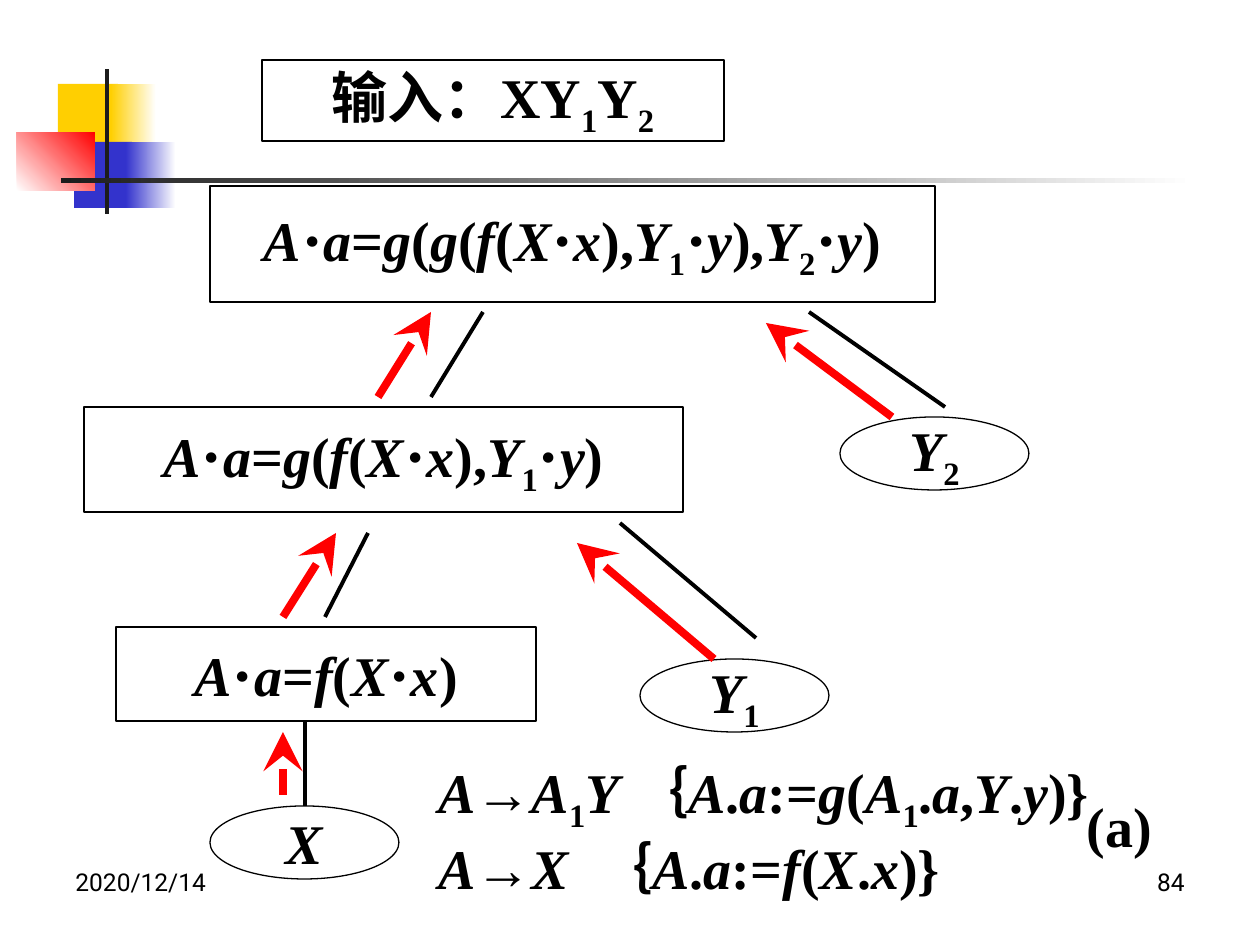
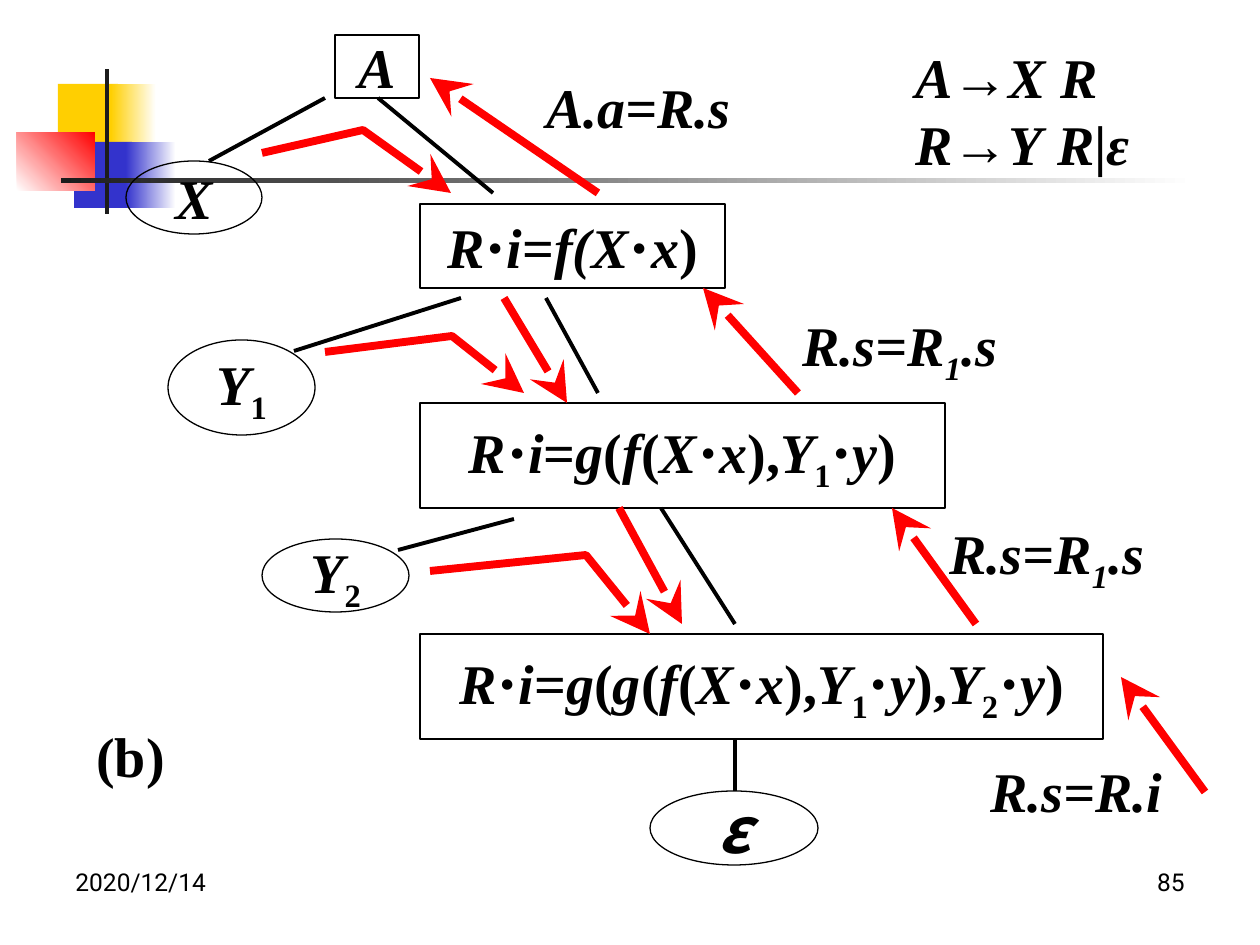
from itertools import groupby

from lxml.etree import SubElement
from pptx import Presentation
from pptx.dml.color import RGBColor
from pptx.enum.shapes import MSO_CONNECTOR, MSO_SHAPE
from pptx.enum.text import MSO_ANCHOR, MSO_AUTO_SIZE, PP_ALIGN
from pptx.oxml.ns import qn
from pptx.util import Pt

SCALE = 914400 / 126
BLACK, RED, WHITE = "000000", "FF0000", "FFFFFF"
YELLOW, BLUE, CHARCOAL = "FFCF01", "3333CC", "1C1C1C"
SERIF, SANS, CJK = "Times New Roman", "Roboto", "Noto Sans CJK SC"
LEFT, CENTER, RIGHT = PP_ALIGN.LEFT, PP_ALIGN.CENTER, PP_ALIGN.RIGHT
DATE = "2020/12/14"


def px(*lengths):
    """Turn px lengths into EMU."""
    return [round(n * SCALE) for n in lengths]


def rgb(color):
    """Turn a hex string into a colour."""
    return RGBColor.from_string(color)


def parse(text, italic):
    """Yield (char, italic, subscript); _ lowers and ~ slants the next character."""
    mark = ""
    for ch in text:
        if ch in "_~":
            mark = ch
            continue
        slant = ch.isalpha() if italic is None else italic
        yield ch, slant or mark == "~", mark == "_"
        mark = ""


def write(p, text, italic=None, align=LEFT, size=32, font=SERIF, bold=True, tab=None):
    """Fill a paragraph with a formula; letters are italic unless told otherwise."""
    p.alignment = align
    if tab:
        tabs = SubElement(p._p.get_or_add_pPr(), qn("a:tabLst"))
        SubElement(tabs, qn("a:tab"), pos=str(px(tab)[0]), algn="l")
    p.font.name, p.font.size, p.font.bold = font, Pt(size), bold
    p.font.color.rgb = rgb(BLACK)
    for (slant, sub), chars in groupby(parse(text, italic), key=lambda c: c[1:]):
        r = p.add_run()
        r.text = "".join(c[0] for c in chars)
        r.font.italic = slant
        if sub:
            r._r.get_or_add_rPr().set("baseline", "-25000")


def outline(sp, color, width):
    """Give a shape or connector its line."""
    sp.line.color.rgb = rgb(color)
    sp.line.width = Pt(width)


def node(s, kind, box, text, **style):
    """Add an outlined shape with a centred formula."""
    sp = s.shapes.add_shape(kind, *px(*box))
    sp.shadow.inherit = False
    sp.fill.background()
    outline(sp, BLACK, 0.75)
    tf = sp.text_frame
    tf.word_wrap, tf.vertical_anchor = False, MSO_ANCHOR.MIDDLE
    write(tf.paragraphs[0], text, align=CENTER, **style)


def label(s, box, lines, wrap=False, anchor=MSO_ANCHOR.TOP, tabs=(None, None), **style):
    """Add a text box with one paragraph per line."""
    tf = s.shapes.add_textbox(*px(*box)).text_frame
    tf.word_wrap, tf.vertical_anchor = wrap, anchor
    tf.auto_size = MSO_AUTO_SIZE.SHAPE_TO_FIT_TEXT
    for i, (text, tab) in enumerate(zip(lines, tabs)):
        p = tf.add_paragraph() if i else tf.paragraphs[0]
        write(p, text, tab=tab, **style)


def caption(s, box, text):
    """Add the upright letter that names the figure."""
    label(s, box, [text], anchor=MSO_ANCHOR.MIDDLE, align=CENTER, italic=False)


def arrowhead(sp):
    """Put a large stealth head at the end of a line."""
    SubElement(sp.line._get_or_add_ln(), qn("a:tailEnd"), type="stealth", w="lg", len="lg")


def line(s, ends, color=BLACK, width=2.25):
    """Add a straight line from (x1, y1) to (x2, y2)."""
    c = s.shapes.add_connector(MSO_CONNECTOR.STRAIGHT, *px(*ends))
    SubElement(c._element.spPr, qn("a:effectLst"))
    outline(c, color, width)
    return c


def arrow(s, ends):
    """Add a red arrow showing attribute flow."""
    arrowhead(line(s, ends, RED, 4.5))


def bent_arrow(s, points):
    """Add a red arrow that bends at its middle point."""
    path = s.shapes.build_freeform(*points[0], scale=SCALE)
    path.add_line_segments(points[1:], close=False)
    sp = path.convert_to_shape()
    sp.shadow.inherit = False
    sp.fill.background()
    outline(sp, RED, 4.5)
    arrowhead(sp)


def block(s, box, start, end=None, angle=0):
    """Add a borderless rectangle, plain or fading from start to end."""
    sp = s.shapes.add_shape(MSO_SHAPE.RECTANGLE, *px(*box))
    sp.shadow.inherit = False
    sp.line.fill.background()
    if end is None:
        sp.fill.solid()
        sp.fill.fore_color.rgb = rgb(start)
        return
    sp.fill.gradient()
    sp.fill.gradient_angle = angle
    for stop, color, pos in zip(sp.fill.gradient_stops, (start, end), (0, 1)):
        stop.color.rgb, stop.position = rgb(color), pos


def base_slide(prs, layout, number):
    """Add a slide with the corner ornament, rule, date and page number."""
    s = prs.slides.add_slide(prs.slide_layouts.get_by_name(layout))
    block(s, (58, 84, 60, 66), YELLOW)
    block(s, (111, 84, 45, 66), YELLOW, WHITE)
    block(s, (74, 142, 58, 66), BLUE)
    block(s, (126, 142, 50, 66), BLUE, WHITE)
    block(s, (17, 132, 78, 59), WHITE, RED, 45)
    block(s, (105, 69, 4, 145), CHARCOAL)
    block(s, (61, 178, 1134, 5), CHARCOAL, WHITE)
    for x, text, align in ((63, DATE, LEFT), (903, str(number), RIGHT)):
        label(s, (x, 861, 294, 66), [text], wrap=True, italic=False,
              align=align, size=14, font=SANS, bold=False)
    return s


def tree(s, boxes, ovals, edges, flows):
    """Draw the attributed parse tree."""
    for kind, nodes in ((MSO_SHAPE.RECTANGLE, boxes), (MSO_SHAPE.OVAL, ovals)):
        for box, text in nodes:
            node(s, kind, box, text)
    for ends in edges:
        line(s, ends)
    for ends in flows:
        arrow(s, ends)


def bottom_up_slide(prs):
    """Build the left-recursive evaluation slide."""
    s = base_slide(prs, "Title Only", 84)
    title = s.shapes.title
    title.left, title.top, title.width, title.height = px(262, 60, 462, 81)
    outline(title, BLACK, 0.75)
    tf = title.text_frame
    tf.word_wrap, tf.vertical_anchor = False, MSO_ANCHOR.MIDDLE
    write(tf.paragraphs[0], "输入：XY_1Y_2", italic=False, align=CENTER)
    tree(
        s,
        boxes=[((210, 186, 725, 116), "A⋅a=g(g(f(X⋅x),Y_1⋅y),Y_2⋅y)"),
               ((84, 407, 599, 105), "A⋅a=g(f(X⋅x),Y_1⋅y)"),
               ((116, 627, 420, 94), "A⋅a=f(X⋅x)")],
        ovals=[((840, 417, 189, 73), "Y_2"),
               ((640, 659, 189, 73), "Y_1"),
               ((210, 806, 189, 73), "X")],
        edges=[(305, 806, 305, 722), (325, 617, 368, 533), (431, 397, 483, 312),
               (945, 407, 809, 312), (620, 523, 756, 638)],
        flows=[(283, 795, 283, 732), (892, 417, 766, 323), (378, 397, 431, 312),
               (714, 659, 577, 543), (283, 617, 336, 533)])
    caption(s, (1064, 786, 111, 79), "(a)")
    label(s, (426, 751, 721, 149),
          ["A→A_1Y\t｛A.a:=g(A_1.a,Y.y)}", "A→X\t｛A.a:=f(X.x)}"],
          wrap=True, tabs=(194, 158))


def top_down_slide(prs):
    """Build the evaluation slide without left recursion."""
    s = base_slide(prs, "Blank", 85)
    tree(
        s,
        boxes=[((335, 35, 84, 63), "A"),
               ((420, 204, 305, 84), "R⋅i=f~(X⋅x)"),
               ((420, 403, 525, 105), "R⋅i=g(f(X⋅x),Y_1⋅y)"),
               ((420, 634, 683, 105), "R⋅i=g(g(f(X⋅x),Y_1⋅y),Y_2⋅y)")],
        ovals=[((262, 539, 147, 73), "Y_2"),
               ((168, 340, 147, 95), "Y_1"),
               ((126, 161, 136, 73), "X")],
        edges=[(735, 739, 735, 791), (661, 508, 735, 624), (546, 298, 598, 393),
               (378, 98, 493, 193), (325, 98, 209, 161), (461, 298, 294, 351),
               (514, 519, 398, 550)],
        flows=[(504, 298, 567, 403), (619, 508, 682, 624), (976, 624, 892, 508),
               (798, 393, 703, 288), (598, 193, 430, 78), (1205, 792, 1121, 677)])
    node(s, MSO_SHAPE.OVAL, (650, 791, 168, 74), "ε", size=36, font=CJK)
    bent_arrow(s, [(262, 153), (363, 130), (451, 193)])
    bent_arrow(s, [(325, 352), (452, 336), (524, 393)])
    bent_arrow(s, [(430, 571), (586, 555), (650, 634)])
    caption(s, (75, 716, 111, 79), "(b)")
    for box, text in (((978, 750, 205, 81), "R.s=R.i"),
                      ((790, 304, 224, 81), "R.s=R_1.s"),
                      ((937, 512, 224, 81), "R.s=R_1.s"),
                      ((534, 66, 212, 81), "A.a=R.s")):
        label(s, box, [text], italic=True)
    label(s, (903, 36, 282, 149), ["A→X R", "R→Y R|ε"], wrap=True)


def main():
    """Build and save the deck."""
    prs = Presentation()
    prs.slide_width, prs.slide_height = px(1260, 945)
    bottom_up_slide(prs)
    top_down_slide(prs)
    prs.save("out.pptx")


if __name__ == "__main__":
    main()
